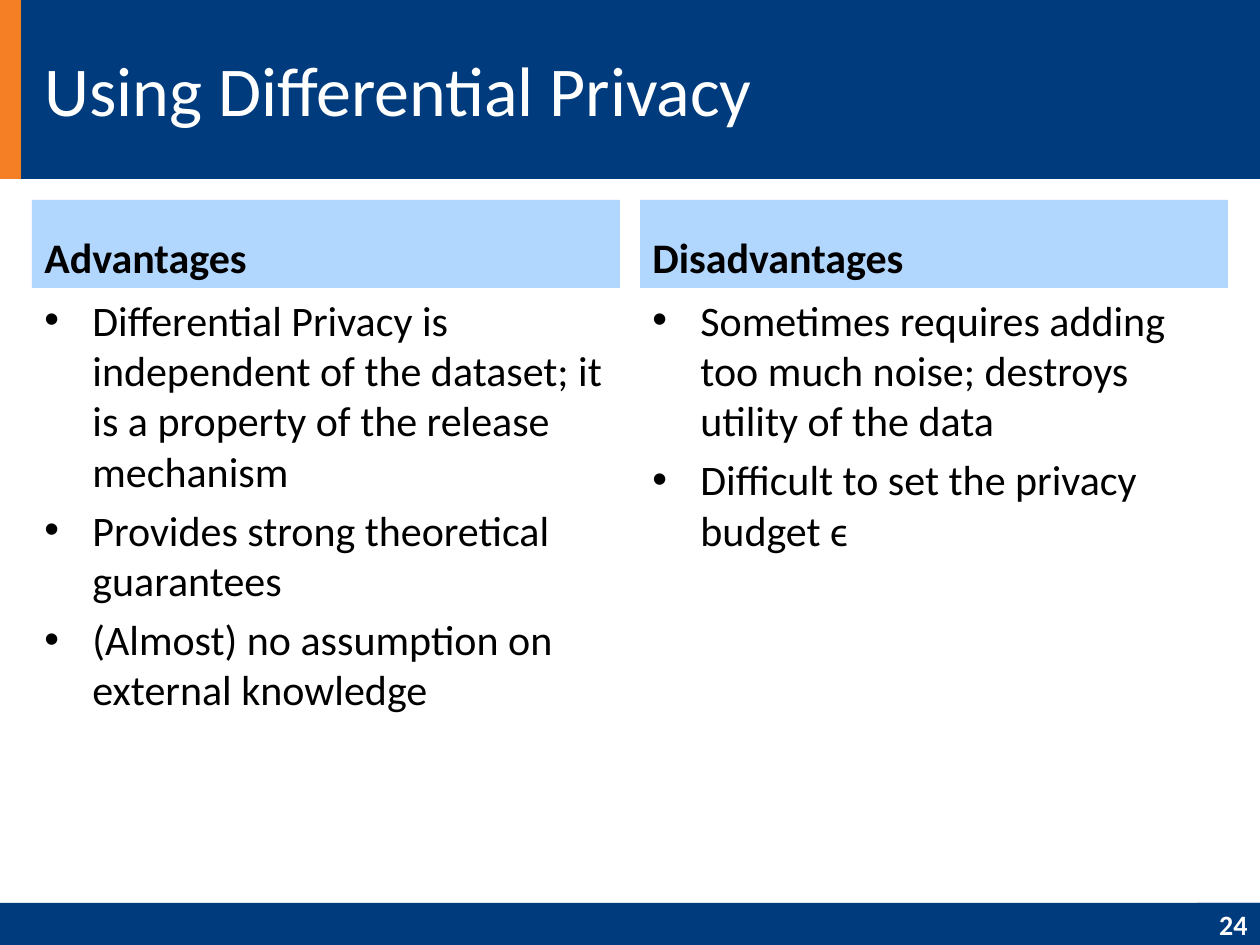
from collections import namedtuple
from dataclasses import dataclass

import pptx
import pptx.dml.color
import pptx.enum.shapes
import pptx.enum.text
import pptx.util
from lxml import etree

Box = namedtuple("Box", "left top width height")
ANCHOR = pptx.enum.text.MSO_ANCHOR
ALIGN = pptx.enum.text.PP_ALIGN


@dataclass(frozen=True)
class Theme:
    """Colours, font and type sizes of the slide."""
    navy: str = "003C7D"
    orange: str = "F47F24"
    pale_blue: str = "B2D7FF"
    black: str = "000000"
    white: str = "FFFFFF"
    font: str = "Calibri"
    title_size: int = 40
    body_size: int = 24
    number_size: int = 16
    body_gap: float = 4.8


THEME = Theme()
PX_PER_INCH = 126
SLIDE = Box(0, 0, 1260, 945)
HEADER_HEIGHT = 179
FOOTER_HEIGHT = 42
MARGIN = 32
COLUMN_GAP = 20
COLUMNS_TOP = 200
COLUMNS_HEIGHT = 683
HEADING_HEIGHT = 88
BULLET_INDENT = 48

TITLE = "Using Differential Privacy"
PAGE_NUMBER = "24"
COLUMNS = [
    ("Advantages", [
        "Differential Privacy is independent of the dataset; it is a property of the release mechanism",
        "Provides strong theoretical guarantees",
        "(Almost) no assumption on external knowledge",
    ]),
    ("Disadvantages", [
        "Sometimes requires adding too much noise; destroys utility of the data",
        "Difficult to set the privacy budget ϵ",
    ]),
]


def px(length):
    """Turn a length in px into EMU."""
    return pptx.util.Emu(round(length * 914400 / PX_PER_INCH))


def rgb(color):
    """Return the colour object for a hex string."""
    return pptx.dml.color.RGBColor.from_string(color)


def add_panel(slide, box, color):
    """Add a plain filled rectangle."""
    panel = slide.shapes.add_shape(
        pptx.enum.shapes.MSO_SHAPE.RECTANGLE, *map(px, box))
    panel.shadow.inherit = False
    panel.fill.solid()
    panel.fill.fore_color.rgb = rgb(color)
    panel.line.fill.background()
    return panel


def prepare_frame(frame, anchor):
    """Set wrapping, fixed size and vertical anchor of a text frame."""
    frame.word_wrap = True
    frame.auto_size = pptx.enum.text.MSO_AUTO_SIZE.NONE
    frame.vertical_anchor = anchor


def write(paragraph, wording, size, color, bold=False, align=ALIGN.LEFT):
    """Add one formatted run to a paragraph."""
    paragraph.alignment = align
    run = paragraph.add_run()
    run.text = wording
    run.font.name = THEME.font
    run.font.size = pptx.util.Pt(size)
    run.font.bold = bold
    run.font.color.rgb = rgb(color)


def add_bullet(paragraph):
    """Give a paragraph a round bullet with a hanging indent."""
    properties = paragraph._p.get_or_add_pPr()
    properties.set("marL", str(px(BULLET_INDENT)))
    properties.set("indent", str(-px(BULLET_INDENT)))
    namespace = properties.nsmap["a"]
    etree.SubElement(properties, f"{{{namespace}}}buFont", typeface="Arial")
    etree.SubElement(properties, f"{{{namespace}}}buChar", char="•")


def build_header(slide, box):
    """Place the title band, its accent and the title."""
    add_panel(slide, box, THEME.navy)
    add_panel(slide, box._replace(width=21), THEME.orange)
    title = slide.shapes.title
    title.left, title.top = px(box.left + MARGIN), px(box.top + 21)
    title.width, title.height = px(924), px(136)
    prepare_frame(title.text_frame, ANCHOR.MIDDLE)
    write(title.text_frame.paragraphs[0], TITLE, THEME.title_size, THEME.white)
    title.element.getparent().append(title.element)


def build_column(slide, box, heading, points):
    """Place a shaded heading above its bulleted points."""
    heading_panel = add_panel(
        slide, box._replace(height=HEADING_HEIGHT), THEME.pale_blue)
    prepare_frame(heading_panel.text_frame, ANCHOR.BOTTOM)
    write(heading_panel.text_frame.paragraphs[0], heading,
          THEME.body_size, THEME.black, bold=True)

    points_box = box._replace(top=box.top + HEADING_HEIGHT,
                              height=box.height - HEADING_HEIGHT)
    frame = slide.shapes.add_textbox(*map(px, points_box)).text_frame
    prepare_frame(frame, ANCHOR.TOP)
    for index, point in enumerate(points):
        paragraph = frame.add_paragraph() if index else frame.paragraphs[0]
        paragraph.space_before = pptx.util.Pt(THEME.body_gap)
        add_bullet(paragraph)
        write(paragraph, point, THEME.body_size, THEME.black)


def build_footer(slide, box):
    """Place the bottom band and the page number at its right end."""
    add_panel(slide, box, THEME.navy)
    number_width = 63
    number_box = box._replace(left=box.left + box.width - number_width,
                              width=number_width)
    page_number = add_panel(slide, number_box, THEME.navy)
    prepare_frame(page_number.text_frame, ANCHOR.MIDDLE)
    write(page_number.text_frame.paragraphs[0], PAGE_NUMBER,
          THEME.number_size, THEME.white, bold=True, align=ALIGN.RIGHT)


def main():
    """Build and save the slide."""
    deck = pptx.Presentation()
    deck.slide_width, deck.slide_height = px(SLIDE.width), px(SLIDE.height)
    slide = deck.slides.add_slide(deck.slide_layouts.get_by_name("Title Only"))
    build_footer(slide, SLIDE._replace(top=SLIDE.height - FOOTER_HEIGHT,
                                       height=FOOTER_HEIGHT))
    build_header(slide, SLIDE._replace(height=HEADER_HEIGHT))
    column_width = (SLIDE.width - 2 * MARGIN - COLUMN_GAP) // len(COLUMNS)
    for index, (heading, points) in enumerate(COLUMNS):
        left = MARGIN + index * (column_width + COLUMN_GAP)
        build_column(slide, Box(left, COLUMNS_TOP, column_width, COLUMNS_HEIGHT),
                     heading, points)
    deck.save("out.pptx")


if __name__ == "__main__":
    main()
